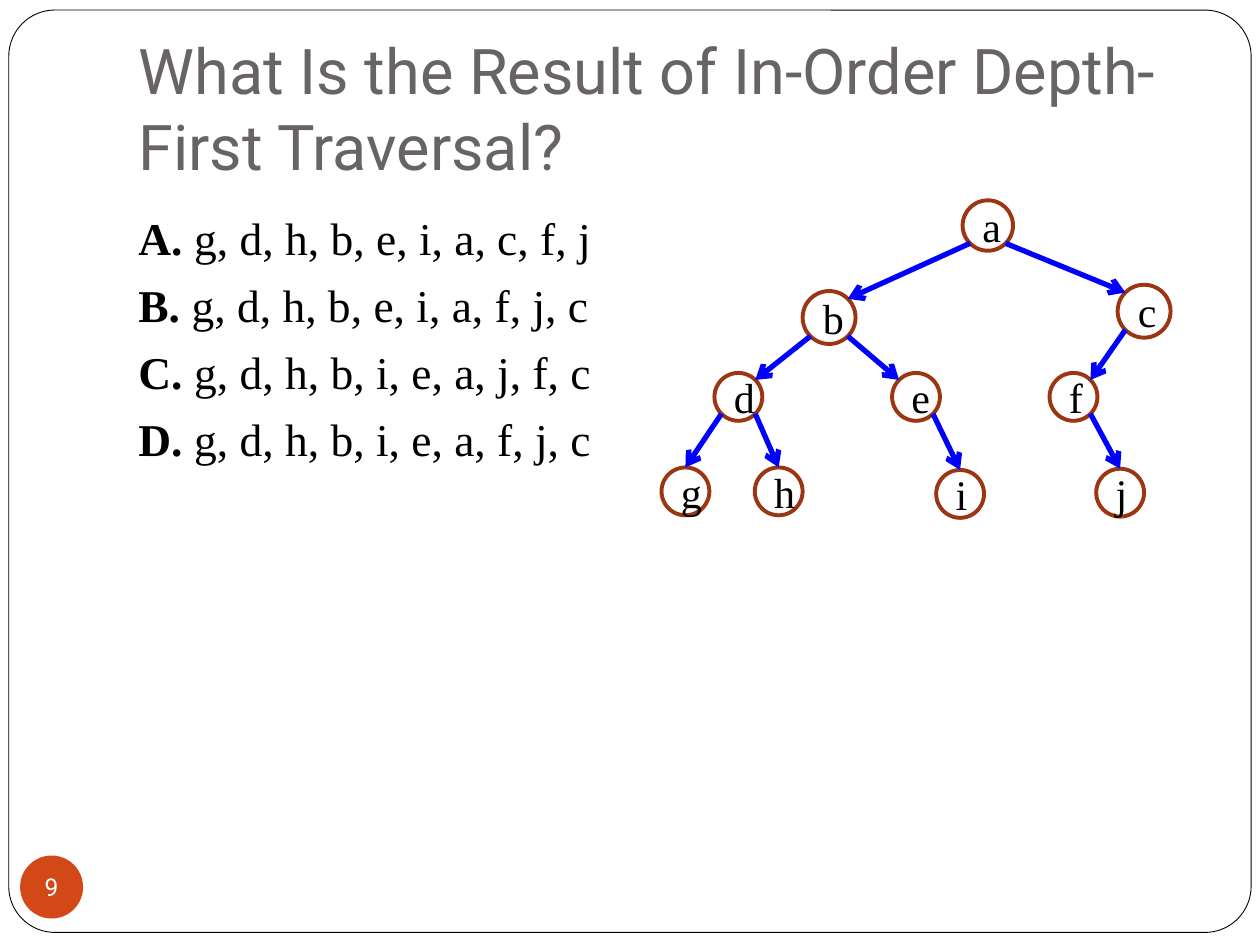
from math import cos, radians, sin
from typing import NamedTuple

from lxml.etree import SubElement
from pptx import Presentation
from pptx.dml.color import RGBColor
from pptx.enum.shapes import MSO_CONNECTOR as Connector, MSO_SHAPE as Shape
from pptx.enum.text import MSO_ANCHOR as Anchor, MSO_AUTO_SIZE as AutoSize, PP_ALIGN as Align
from pptx.oxml.ns import qn
from pptx.util import Pt

PX = 9144  # 100 px to the inch
WHITE = RGBColor(0xFF, 0xFF, 0xFF)
BLACK = RGBColor(0, 0, 0)
GREY = RGBColor(0x69, 0x64, 0x64)
ORANGE = RGBColor(0xD3, 0x48, 0x17)
BROWN = RGBColor(0x9C, 0x35, 0x11)
BLUE = RGBColor(0, 0, 0xFF)
SANS, SERIF = "Roboto", "Times New Roman"

# Directions on a circle, in degrees clockwise from the right
LOWER_RIGHT, LOWER_LEFT, UPPER_LEFT, TOP, UPPER_RIGHT = 45, 135, 225, 270, 315


class Node(NamedTuple):
    left: int
    top: int
    size: int = 38

    def point_at(self, angle: int) -> tuple[int, int]:
        radius = self.size / 2
        return (round((self.left + radius + radius * cos(radians(angle))) * PX),
                round((self.top + radius + radius * sin(radians(angle))) * PX))


class Edge(NamedTuple):
    parent: str
    leaves_at: int
    child: str
    enters_at: int


NODES = {
    "a": Node(764, 159, 40),
    "b": Node(637, 231, 42), "c": Node(887, 226, 42),
    "d": Node(567, 296), "e": Node(708, 296), "f": Node(833, 296),
    "g": Node(525, 371), "h": Node(599, 371), "i": Node(743, 373), "j": Node(870, 372),
}
EDGES = [
    Edge("a", LOWER_LEFT, "b", UPPER_RIGHT), Edge("a", LOWER_RIGHT, "c", UPPER_LEFT),
    Edge("b", LOWER_LEFT, "d", UPPER_RIGHT), Edge("b", LOWER_RIGHT, "e", UPPER_LEFT),
    Edge("c", LOWER_LEFT, "f", UPPER_RIGHT),
    Edge("d", LOWER_LEFT, "g", TOP), Edge("d", LOWER_RIGHT, "h", TOP),
    Edge("e", LOWER_RIGHT, "i", TOP), Edge("f", LOWER_RIGHT, "j", TOP),
]
ANSWERS = {
    "A.": "g, d, h, b, e, i, a, c, f, j",
    "B.": "g, d, h, b, e, i, a, f, j, c",
    "C.": "g, d, h, b, i, e, a, j, f, c",
    "D.": "g, d, h, b, i, e, a, f, j, c",
}


def set_all(target, **values) -> None:
    for name, value in values.items():
        setattr(target, name, value)


def add_span(para, text: str, size: int, face: str, color: RGBColor, bold: bool = False) -> None:
    span = para.add_run()
    span.text = text
    set_all(span.font, size=Pt(size), name=face, bold=bold)
    span.font.color.rgb = color


def add_outline(shapes, kind, bounds: tuple, fill=None, line=None, width: float = 1):
    """Add a preset shape; a missing fill or line colour leaves it empty."""
    shape = shapes.add_shape(kind, *(value * PX for value in bounds))
    shape.shadow.inherit = False
    if fill is None:
        shape.fill.background()
    else:
        shape.fill.solid()
        shape.fill.fore_color.rgb = fill
    if line is None:
        shape.line.fill.background()
    else:
        shape.line.color.rgb = line
        shape.line.width = Pt(width)
    return shape


def add_label(shape, text: str, size: int, face: str, color: RGBColor) -> None:
    shape.text_frame.vertical_anchor = Anchor.MIDDLE
    para = shape.text_frame.paragraphs[0]
    para.alignment = Align.CENTER
    add_span(para, text, size, face, color)


def add_edge(shapes, edge: Edge) -> None:
    start = NODES[edge.parent].point_at(edge.leaves_at)
    end = NODES[edge.child].point_at(edge.enters_at)
    arrow = shapes.add_connector(Connector.STRAIGHT, *start, *end)
    arrow.line.color.rgb = BLUE
    arrow.line.width = Pt(3)
    SubElement(arrow.line._get_or_add_ln(), qn("a:tailEnd"), type="arrow")
    SubElement(arrow._element.spPr, qn("a:effectLst"))


def add_title(page) -> None:
    title = page.shapes.title
    set_all(title, left=100 * PX, top=30 * PX, width=850 * PX, height=125 * PX)
    set_all(title.text_frame, auto_size=AutoSize.NONE, word_wrap=True,
            vertical_anchor=Anchor.BOTTOM, margin_left=10 * PX, margin_top=5 * PX,
            margin_right=10 * PX, margin_bottom=10 * PX)
    para = title.text_frame.paragraphs[0]
    para.alignment = Align.LEFT
    add_span(para, "What Is the Result of In-Order Depth-First Traversal?", 36, SANS, GREY)


def add_answers(page) -> None:
    box = page.shapes.add_textbox(100 * PX, 158 * PX, 850 * PX, 500 * PX)
    frame = box.text_frame
    set_all(frame, word_wrap=True, margin_left=10 * PX, margin_top=9 * PX)
    for index, (letter, order) in enumerate(ANSWERS.items()):
        para = frame.add_paragraph() if index else frame.paragraphs[0]
        if index:
            para.space_before = Pt(7)
        add_span(para, f"{letter} ", 26, SERIF, BLACK, bold=True)
        add_span(para, order, 26, SERIF, BLACK)


def add_tree(page) -> None:
    shapes = page.shapes.add_group_shape().shapes
    for name, node in NODES.items():
        circle = add_outline(shapes, Shape.OVAL, (node.left, node.top, node.size, node.size),
                             line=BROWN, width=2.25)
        circle.text_frame.word_wrap = True
        add_label(circle, name, 24, SERIF, BLACK)
    for edge in EDGES:
        add_edge(shapes, edge)


def main() -> None:
    deck = Presentation()
    set_all(deck, slide_width=1000 * PX, slide_height=750 * PX)
    page = deck.slides.add_slide(deck.slide_layouts[5])

    border = add_outline(page.shapes, Shape.ROUNDED_RECTANGLE, (7, 8, 986, 732),
                         fill=WHITE, line=BLACK, width=0.5)
    border.adjustments[0] = 0.05
    page.shapes.title._element.addprevious(border._element)
    add_title(page)

    badge = add_outline(page.shapes, Shape.OVAL, (16, 679, 50, 50), fill=ORANGE)
    set_all(badge.text_frame, word_wrap=False, margin_left=0, margin_top=0,
            margin_right=0, margin_bottom=0)
    add_label(badge, "9", 14, SANS, WHITE)

    add_answers(page)
    add_tree(page)
    deck.save("out.pptx")


if __name__ == "__main__":
    main()
